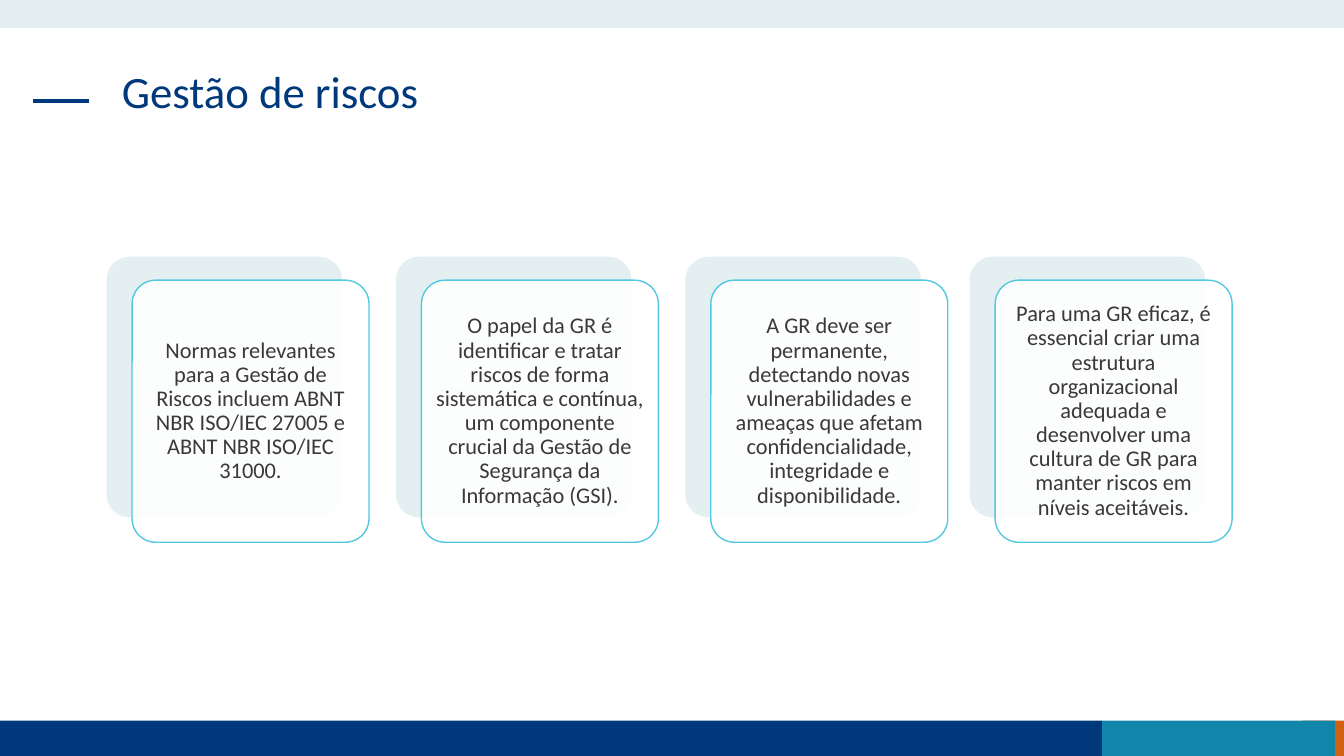
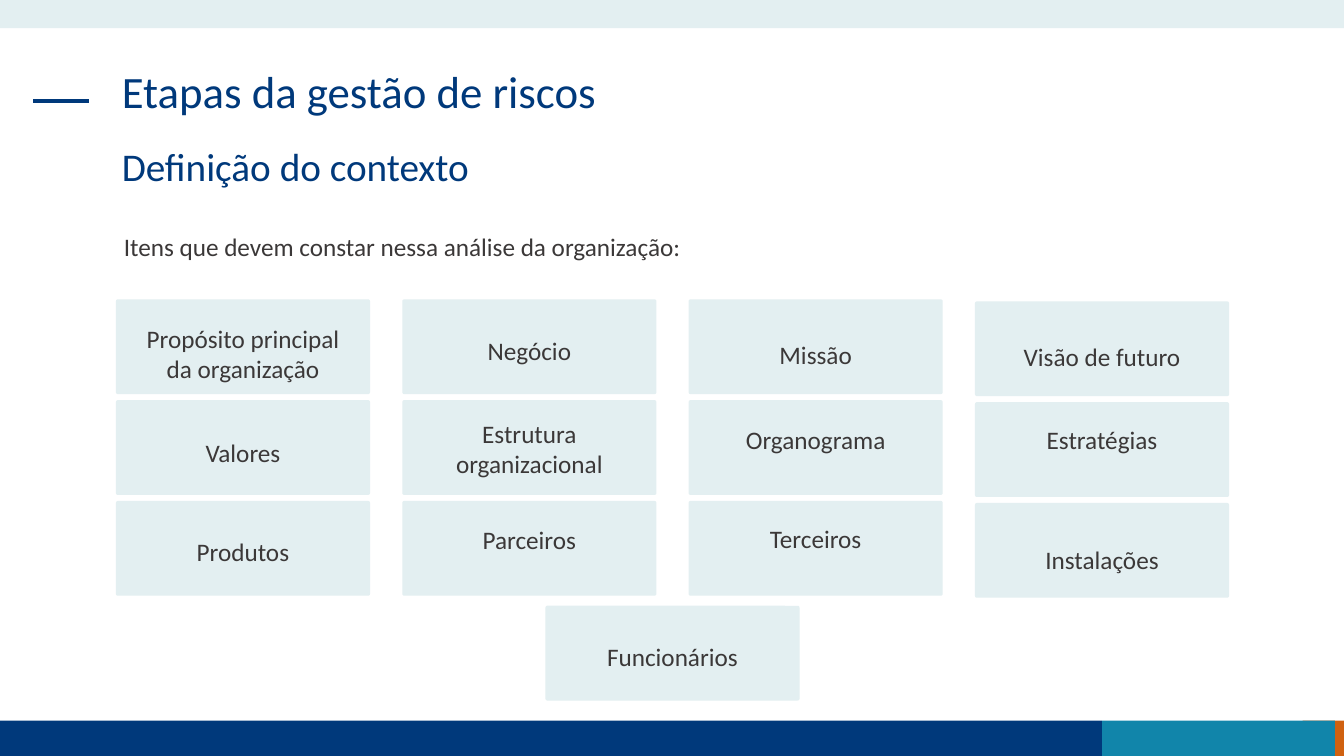
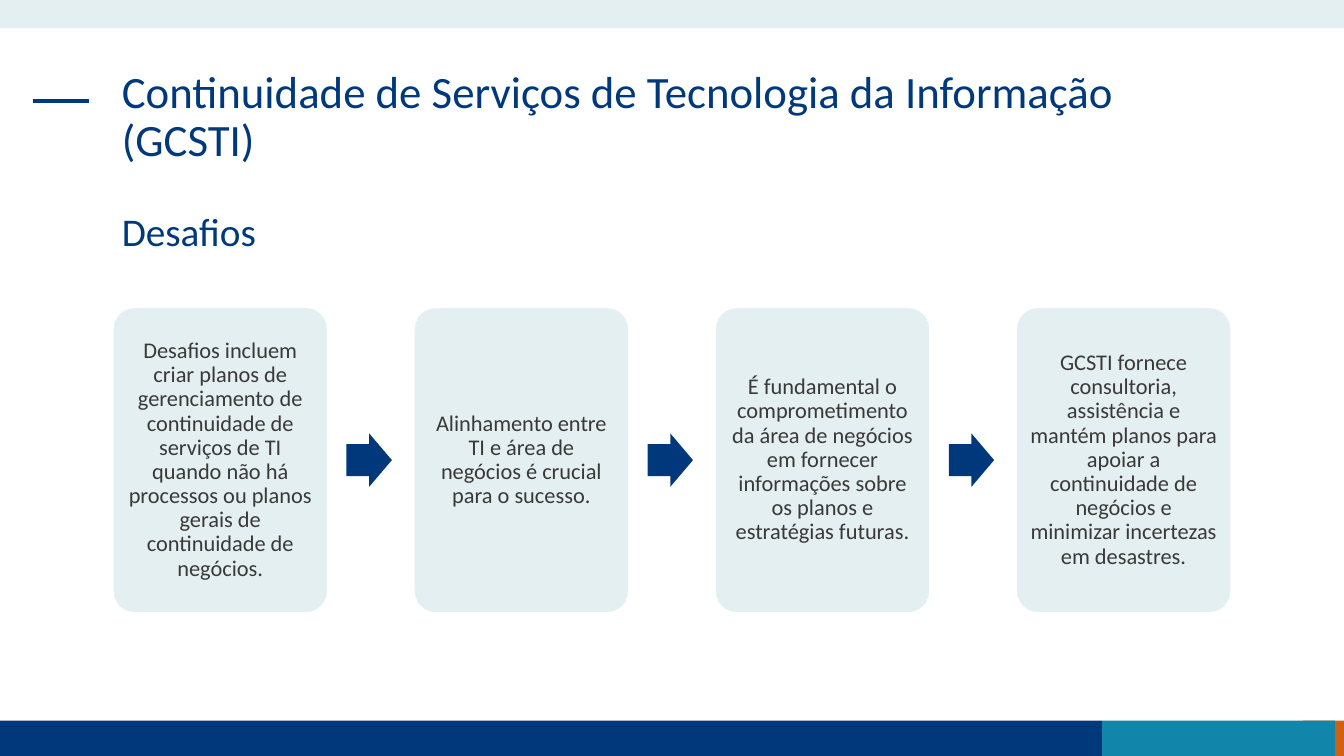
"""Builds three slides on risk management and IT service continuity."""
from lxml import etree
from pptx import Presentation
from pptx.dml.color import RGBColor
from pptx.enum.shapes import MSO_CONNECTOR, MSO_SHAPE
from pptx.enum.text import MSO_ANCHOR, PP_ALIGN
from pptx.oxml.ns import qn
from pptx.util import Inches, Pt

RECT = MSO_SHAPE.RECTANGLE
ROUND = MSO_SHAPE.ROUNDED_RECTANGLE
ARROW = MSO_SHAPE.RIGHT_ARROW
STRAIGHT = MSO_CONNECTOR.STRAIGHT
LEFT, CENTER = PP_ALIGN.LEFT, PP_ALIGN.CENTER
TOP, MIDDLE = MSO_ANCHOR.TOP, MSO_ANCHOR.MIDDLE

FONT = "Calibri"
COLORS = {
    "navy": "00397B",
    "teal": "1185AA",
    "orange": "D06110",
    "pale": "E3EFF1",
    "sky": "54C8E1",
    "white": "FFFFFF",
    "ink": "3B3838",
}
BANDS = [
    (12.92, 7.15, 0.41, 0.35, "orange"),
    (0, 7.15, 10.93, 0.35, "navy"),
    (10.93, 7.15, 2.31, 0.35, "teal"),
    (0, 0, 13.33, 0.28, "pale"),
]


def rgb(name):
    """Return the named palette colour."""
    return RGBColor.from_string(COLORS[name])


class Deck:
    """Holds the shared style and the current slide."""

    def __init__(self):
        """Start an empty widescreen presentation."""
        self.prs = Presentation()
        self.prs.slide_width = Inches(13.33)
        self.prs.slide_height = Inches(7.5)
        self.s = None

    def slide(self, title):
        """Add a slide with its bands, dash and title."""
        self.s = self.prs.slides.add_slide(self.prs.slide_layouts[6])
        for x, y, w, h, fill in BANDS:
            self.shape(RECT, x, y, w, h, fill)
        self.dash()
        self.heading(title, 0.64, 32)

    def dash(self):
        """Draw the short line left of the title."""
        line = self.s.shapes.add_connector(
            STRAIGHT, Inches(0.33), Inches(1), Inches(0.88), Inches(1))
        line.line.color.rgb = rgb("navy")
        line.line.width = Pt(3)
        etree.SubElement(line._element.spPr, qn("a:effectLst"))

    def shape(self, kind, x, y, w, h, fill, line=None, adj=(), opacity=None):
        """Add a flat preset shape and return it."""
        sp = self.s.shapes.add_shape(kind, Inches(x), Inches(y), Inches(w), Inches(h))
        sp.shadow.inherit = False
        for i, value in enumerate(adj):
            sp.adjustments[i] = value
        sp.fill.solid()
        sp.fill.fore_color.rgb = rgb(fill)
        if opacity is not None:
            color = sp._element.spPr.find(qn("a:solidFill"))[0]
            etree.SubElement(color, qn("a:alpha")).set("val", str(opacity * 1000))
        if line:
            sp.line.color.rgb = rgb(line)
            sp.line.width = Pt(1)
        else:
            sp.line.fill.background()
        return sp

    def set_text(self, sp, text, size, color="ink", align=LEFT, anchor=TOP,
                 spacing=1.0, margins=(0.1, 0.05, 0.1, 0.05)):
        """Set the text of a shape or text box."""
        tf = sp.text_frame
        tf.word_wrap = True
        tf.vertical_anchor = anchor
        (tf.margin_left, tf.margin_top,
         tf.margin_right, tf.margin_bottom) = map(Inches, margins)
        p = tf.paragraphs[0]
        p.alignment = align
        p.line_spacing = spacing
        r = p.add_run()
        r.text = text
        r.font.name = FONT
        r.font.size = Pt(size)
        r.font.color.rgb = rgb(color)

    def text(self, text, x, y, w, h, size, **style):
        """Add a text box."""
        sp = self.s.shapes.add_textbox(Inches(x), Inches(y), Inches(w), Inches(h))
        self.set_text(sp, text, size, **style)

    def heading(self, text, y, size):
        """Add a title or subtitle line."""
        self.text(text, 1.11, y, 11.1, 0.94, size, color="navy", spacing=0.9)

    def card(self, text, x, y, w, h, fill, line, opacity=None):
        """Add a rounded card with centred text."""
        sp = self.shape(ROUND, x, y, w, h, fill, line, (0.1,), opacity)
        self.set_text(sp, text, 16, align=CENTER, anchor=MIDDLE, spacing=0.9,
                      margins=(0.07,) * 4)

    def layered_card(self, text, x, y):
        """Add a translucent card over an offset pale one."""
        w, h = 2.35, 2.6
        self.shape(ROUND, x, y, w, h, "pale", "white", (0.1,))
        self.card(text, x + 0.26, y + 0.24, w, h, "white", "sky", 90)

    def tile(self, text, x, y, drop):
        """Add a tile whose text starts at the given drop from its top."""
        sp = self.shape(ROUND, x, y, 2.52, 0.94, "pale", adj=(0.02,))
        self.set_text(sp, text, 18, align=CENTER, margins=(0.27, drop, 0.27, 0))

    def arrow(self, x, y):
        """Add a block arrow pointing right."""
        self.shape(ARROW, x, y, 0.45, 0.53, "navy", adj=(0.6, 0.5))


def risk_management(deck):
    """Build the slide of four layered cards."""
    cards = [
        (1.05, "Normas relevantes para a Gestão de Riscos incluem ABNT NBR "
               "ISO/IEC 27005 e ABNT NBR ISO/IEC 31000."),
        (3.92, "O papel da GR é identificar e tratar riscos de forma sistemática "
               "e contínua, um componente crucial da Gestão de Segurança da "
               "Informação (GSI)."),
        (6.79, "A GR deve ser permanente, detectando novas vulnerabilidades e "
               "ameaças que afetam confidencialidade, integridade e "
               "disponibilidade."),
        (9.61, "Para uma GR eficaz, é essencial criar uma estrutura "
               "organizacional adequada e desenvolver uma cultura de GR para "
               "manter riscos em níveis aceitáveis."),
    ]
    deck.slide("Gestão de riscos")
    for x, text in cards:
        deck.layered_card(text, x, 2.54)


def context_definition(deck):
    """Build the slide of organisation analysis tiles."""
    rows = [
        [("Propósito principal da organização", 0.23), ("Negócio", 0.35),
         ("Missão", 0.39), ("Visão de futuro", 0.39)],
        [("Valores", 0.36), ("Estrutura organizacional", 0.17),
         ("Organograma", 0.23), ("Estratégias", 0.21)],
        [("Produtos", 0.35), ("Parceiros", 0.23),
         ("Terceiros", 0.22), ("Instalações", 0.4)],
    ]
    deck.slide("Etapas da gestão de riscos")
    deck.heading("Definição do contexto", 1.42, 28)
    deck.text("Itens que devem constar nessa análise da organização:",
              1.13, 2.25, 6.67, 0.4, 18)
    for i, row in enumerate(rows):
        for j, (label, drop) in enumerate(row):
            y = 2.99 if j == 3 else 2.97
            deck.tile(label, 1.15 + 2.84 * j, y + i, drop)
    deck.tile("Funcionários", 5.41, 6.01, 0.35)


def continuity_challenges(deck):
    """Build the slide of four cards joined by arrows."""
    steps = [
        "Desafios incluem criar planos de gerenciamento de continuidade de "
        "serviços de TI quando não há processos ou planos gerais de "
        "continuidade de negócios.",
        "Alinhamento entre TI e área de negócios é crucial para o sucesso.",
        "É fundamental o comprometimento da área de negócios em fornecer "
        "informações sobre os planos e estratégias futuras.",
        "GCSTI fornece consultoria, assistência e mantém planos para apoiar a "
        "continuidade de negócios e minimizar incertezas em desastres.",
    ]
    first, last = 1.12, 10.08
    pitch = (last - first) / (len(steps) - 1)
    deck.slide("Continuidade de Serviços de Tecnologia da Informação (GCSTI)")
    deck.heading("Desafios", 2.06, 28)
    for i, text in enumerate(steps):
        x = first + pitch * i
        if i:
            deck.arrow(x - 0.67, 4.3)
        deck.card(text, x, 3.05, 2.13, 3.03, "pale", "white")


def main():
    """Build and save the presentation."""
    deck = Deck()
    risk_management(deck)
    context_definition(deck)
    continuity_challenges(deck)
    deck.prs.save("out.pptx")


if __name__ == "__main__":
    main()
